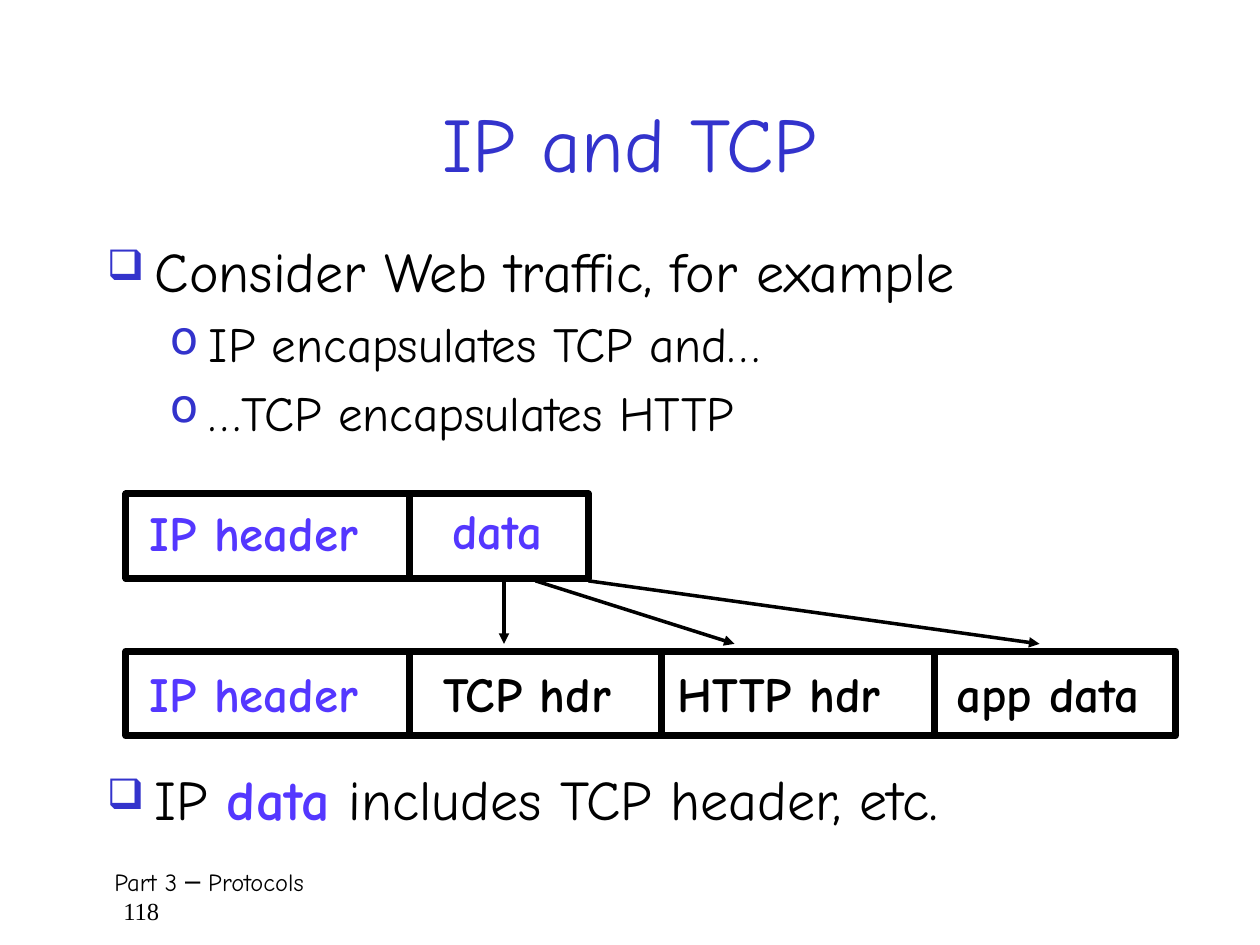
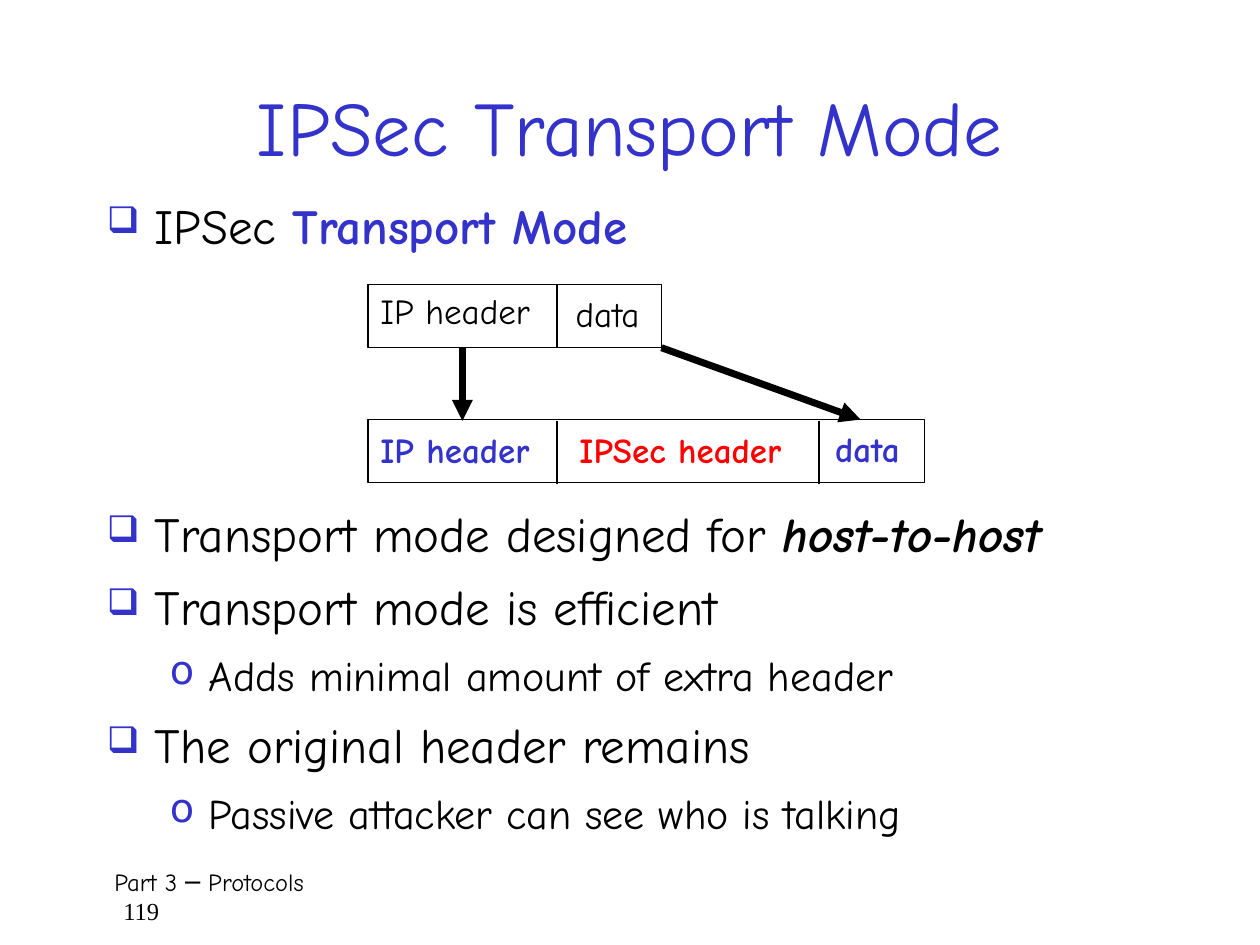
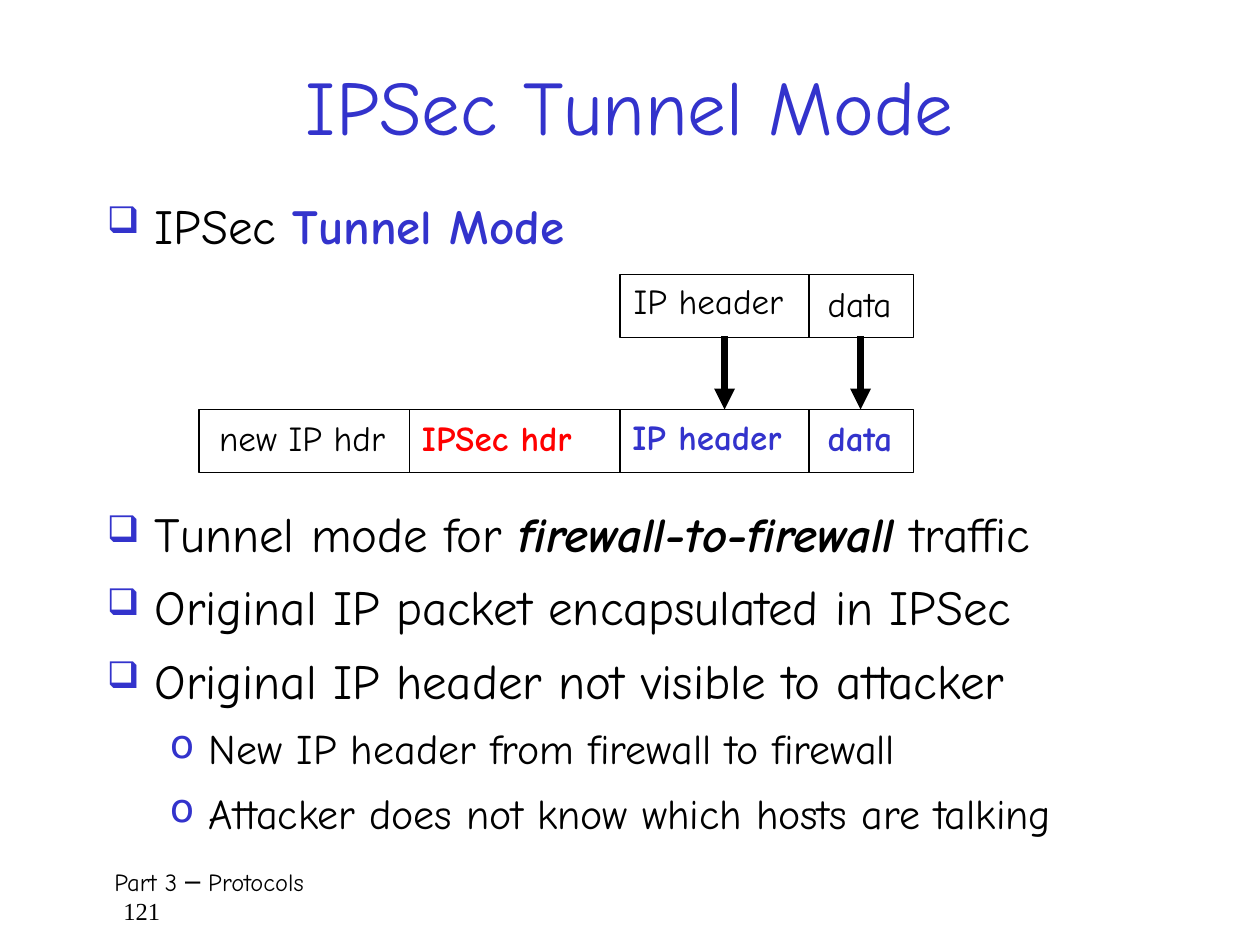
from lxml import etree
from pptx import Presentation
from pptx.dml.color import RGBColor
from pptx.enum.shapes import MSO_CONNECTOR, MSO_SHAPE
from pptx.enum.text import MSO_ANCHOR, MSO_AUTO_SIZE, PP_ALIGN
from pptx.oxml.ns import qn
from pptx.util import Inches, Pt

STRAIGHT = MSO_CONNECTOR.STRAIGHT
RECTANGLE = MSO_SHAPE.RECTANGLE
MIDDLE = MSO_ANCHOR.MIDDLE
GROW = MSO_AUTO_SIZE.SHAPE_TO_FIT_TEXT
CENTER = PP_ALIGN.CENTER

BLACK, BLUE, VIOLET, RED = "000000", "3333CC", "5437FF", "FF0000"
BODY_FONT, NUMBER_FONT = "Comic Neue", "Times New Roman"
# Per outline level: bullet, its size in percent, text margin, hanging indent
LEVELS = [("❑", 75, 0.38, 0.38), ("o", 95, 0.81, 0.31)]


def color(value):
    return RGBColor.from_string(value)


def add_xml(parent, tag, **attributes):
    child = etree.SubElement(parent, qn(tag))
    for key, value in attributes.items():
        child.set(key, str(value))
    return child


class Deck:
    """Holds the presentation, its style and the current slide."""

    def __init__(self):
        self.presentation = Presentation()
        self.presentation.slide_width = Inches(10)
        self.presentation.slide_height = Inches(7.5)
        self.slide = None

    def start_slide(self, title, number, title_top, title_height):
        layout = self.presentation.slide_layouts[6]
        self.slide = self.presentation.slides.add_slide(layout)
        heading = self.text_frame(0.75, title_top, 8.5, title_height)
        heading.vertical_anchor = MIDDLE
        heading.paragraphs[0].alignment = CENTER
        self.run(heading.paragraphs[0], title, 44, BLUE)
        self.footer(number)

    def footer(self, number):
        frame = self.text_frame(0.75, 6.83, 8.58, 0.5)
        lines = [("Part 3 ─ Protocols", BODY_FONT, 0.06),
                 (str(number), NUMBER_FONT, 0.13)]
        for index, (text, font, indent) in enumerate(lines):
            line = frame.add_paragraph() if index else frame.paragraphs[0]
            line._p.get_or_add_pPr().set("marL", str(Inches(indent)))
            self.run(line, text, 14, font=font)

    def text_frame(self, left, top, width, height, wrap=True):
        box = self.slide.shapes.add_textbox(
            Inches(left), Inches(top), Inches(width), Inches(height))
        box.text_frame.word_wrap = wrap
        return box.text_frame

    def run(self, paragraph, text, size, ink=BLACK, bold=False, italic=False,
            font=BODY_FONT):
        run = paragraph.add_run()
        run.text = text
        run.font.name = font
        run.font.size = Pt(size)
        run.font.bold = bold
        run.font.italic = italic
        run.font.color.rgb = color(ink)

    def bullets(self, top, width, height, size, items, spacing=None, after=None):
        """Items are (level, runs); a run is text or (text, style options)."""
        frame = self.text_frame(0.75, top, width, height)
        for index, (level, runs) in enumerate(items):
            item = frame.add_paragraph() if index else frame.paragraphs[0]
            self.bullet_format(item, level)
            if spacing:
                item.line_spacing = spacing
            if after:
                item.space_after = Pt(after)
            for part in runs:
                text, style = (part, {}) if isinstance(part, str) else part
                self.run(item, text, size - 4 * level, **style)

    def bullet_format(self, paragraph, level):
        mark, percent, margin, hanging = LEVELS[level]
        paragraph.level = level
        properties = paragraph._p.get_or_add_pPr()
        properties.set("marL", str(Inches(margin)))
        properties.set("indent", str(-Inches(hanging)))
        add_xml(add_xml(properties, "a:spcBef"), "a:spcPct", val=20000)
        add_xml(add_xml(properties, "a:buClr"), "a:srgbClr", val=BLUE)
        add_xml(properties, "a:buSzPct", val=percent * 1000)
        add_xml(properties, "a:buChar", char=mark)

    def line(self, start, end, weight, arrow=False):
        line = self.slide.shapes.add_connector(
            STRAIGHT, *(Inches(value) for value in start + end))
        line.line.color.rgb = color(BLACK)
        line.line.width = Pt(weight)
        if arrow:
            add_xml(line.line._get_or_add_ln(), "a:tailEnd", type="triangle")
        add_xml(line._element.spPr, "a:effectLst")

    def arrows(self, weight, *ends):
        for start, end in ends:
            self.line(start, end, weight, arrow=True)

    def packet(self, edges, top, height, weight, drop=0):
        """Frame from first to last edge; inner edges are dividers moved by drop."""
        left, *dividers, right = edges
        frame = self.slide.shapes.add_shape(
            RECTANGLE, Inches(left), Inches(top),
            Inches(right - left), Inches(height))
        frame.shadow.inherit = False
        frame.fill.background()
        frame.line.color.rgb = color(BLACK)
        frame.line.width = Pt(weight)
        for x in dividers:
            self.line((x, top + drop), (x, top + drop + height), weight)

    def labels(self, size, height, *fields):
        for text, left, top, width, ink, bold in fields:
            frame = self.text_frame(left, top, width, height, wrap=False)
            frame.auto_size = GROW
            self.run(frame.paragraphs[0], text, size, ink, bold)


def ip_and_tcp(deck):
    deck.start_slide("IP and TCP", 118, 0.5, 1.25)
    deck.bullets(1.83, 8.42, 2.08, 32, [
        (0, ["Consider Web traffic, for example"]),
        (1, ["IP encapsulates TCP and…"]),
        (1, ["…TCP encapsulates HTTP"]),
    ])
    deck.packet([1, 3.25, 4.67], 3.92, 0.67, 4, 0.02)
    deck.packet([1, 3.25, 5.25, 7.42, 9.33], 5.17, 0.67, 4, 0.02)
    deck.labels(
        28, 0.64,
        ("IP header", 1.09, 3.94, 2.08, VIOLET, True),
        ("data", 3.49, 3.92, 1.05, VIOLET, True),
        ("IP header", 1.09, 5.22, 2.08, VIOLET, True),
        ("TCP hdr", 3.42, 5.22, 1.73, BLACK, True),
        ("HTTP hdr", 5.28, 5.22, 2.06, BLACK, True),
        ("app data", 7.49, 5.22, 1.85, BLACK, True))
    deck.arrows(2, ((4, 4.61), (4, 5.11)),
                ((4.25, 4.61), (5.83, 5.11)),
                ((4.67, 4.61), (8.25, 5.11)))
    deck.bullets(6.08, 8.33, 0.75, 32, [
        (0, ["IP ", ("data", {"ink": VIOLET, "bold": True}),
             " includes TCP header, etc."]),
    ], spacing=0.9)


def transport_mode(deck):
    deck.start_slide("IPSec Transport Mode", 119, 0.5, 1)
    deck.bullets(1.5, 8.17, 0.67, 28, [
        (0, ["IPSec ", ("Transport Mode", {"ink": BLUE, "bold": True})]),
    ])
    deck.packet([2.92, 4.42, 5.25], 2.26, 0.5, 0.75)
    deck.packet([2.92, 4.42, 6.5, 7.34], 3.33, 0.5, 0.75, 0.01)
    deck.labels(
        20, 0.49,
        ("IP header", 2.92, 2.25, 1.48, BLACK, False),
        ("data", 4.47, 2.27, 0.78, BLACK, False),
        ("IP header", 2.92, 3.35, 1.54, BLUE, True),
        ("IPSec header", 4.5, 3.35, 2.05, RED, True),
        ("data", 6.53, 3.34, 0.8, BLUE, True))
    deck.arrows(4, ((3.67, 2.76), (3.67, 3.34)), ((5.25, 2.76), (6.83, 3.33)))
    deck.bullets(4, 8.75, 2.75, 28, [
        (0, ["Transport mode designed for ",
             ("host-to-host", {"bold": True, "italic": True})]),
        (0, ["Transport mode is efficient"]),
        (1, ["Adds minimal amount of extra header"]),
        (0, ["The original header remains"]),
        (1, ["Passive attacker can see who is talking"]),
    ], spacing=0.9, after=6)


def tunnel_mode(deck):
    deck.start_slide("IPSec Tunnel Mode", 121, 0.33, 1)
    deck.bullets(1.5, 7.33, 0.58, 28, [
        (0, ["IPSec ", ("Tunnel Mode", {"ink": BLUE, "bold": True})]),
    ])
    deck.packet([4.92, 6.42, 7.25], 2.18, 0.5, 0.75)
    deck.packet([1.58, 3.25, 4.92, 6.42, 7.25], 3.25, 0.5, 0.75)
    deck.labels(
        20, 0.49,
        ("IP header", 4.93, 2.17, 1.48, BLACK, False),
        ("data", 6.47, 2.19, 0.78, BLACK, False),
        ("new IP hdr", 1.64, 3.26, 1.61, BLACK, False),
        ("IPSec hdr", 3.25, 3.26, 1.59, RED, True),
        ("IP header", 4.92, 3.25, 1.54, BLUE, True),
        ("data", 6.47, 3.26, 0.8, BLUE, True))
    deck.arrows(4, *(((x, 2.67), (x, 3.25)) for x in (5.75, 6.83)))
    deck.bullets(4, 8.92, 2.75, 28, [
        (0, ["Tunnel mode for ",
             ("firewall-to-firewall", {"bold": True, "italic": True}),
             " traffic"]),
        (0, ["Original IP packet encapsulated in IPSec"]),
        (0, ["Original IP header not visible to attacker"]),
        (1, ["New IP header from firewall to firewall"]),
        (1, ["Attacker does not know which hosts are talking"]),
    ], spacing=0.9, after=6)


def main():
    deck = Deck()
    for build in (ip_and_tcp, transport_mode, tunnel_mode):
        build(deck)
    deck.presentation.save("out.pptx")


if __name__ == "__main__":
    main()
